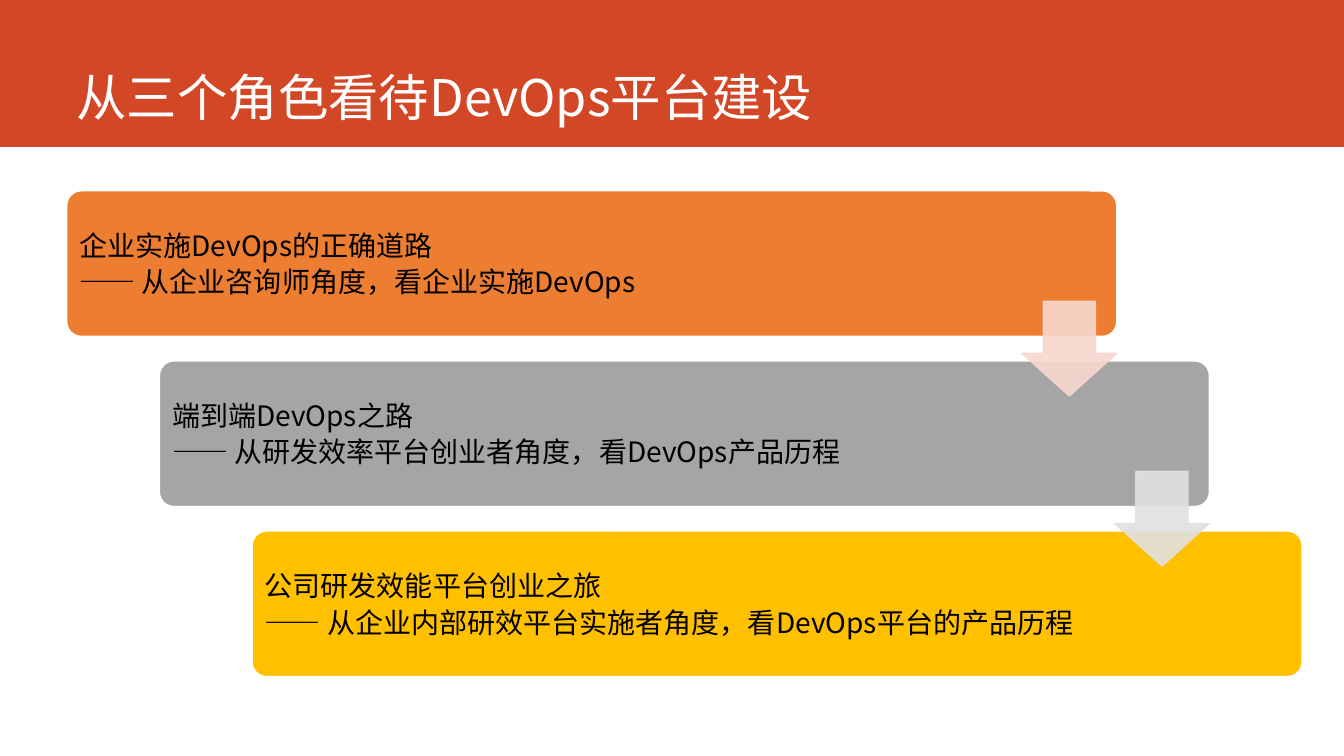
import pptx
import pptx.dml.color
import pptx.enum.shapes
import pptx.enum.text
import pptx.util
import lxml.etree
from pptx.oxml.ns import qn

Pt = pptx.util.Pt
RGBColor = pptx.dml.color.RGBColor
Shapes = pptx.enum.shapes.MSO_SHAPE
Anchor = pptx.enum.text.MSO_ANCHOR
Align = pptx.enum.text.PP_ALIGN

FONT = "Noto Sans CJK SC"
WHITE = RGBColor(0xFF, 0xFF, 0xFF)
BLACK = RGBColor(0x00, 0x00, 0x00)
RED = RGBColor(0xD2, 0x47, 0x26)
ORANGE = RGBColor(0xED, 0x7D, 0x31)
GRAY = RGBColor(0xA5, 0xA5, 0xA5)
GOLD = RGBColor(0xFF, 0xC0, 0x00)
PALE_RED = RGBColor(0xF8, 0xD7, 0xCE)
PALE_GRAY = RGBColor(0xE1, 0xE1, 0xE1)

ROLES = [
    (ORANGE, "企业实施DevOps的正确道路", "—— 从企业咨询师角度，看企业实施DevOps"),
    (GRAY, "端到端DevOps之路", "—— 从研发效率平台创业者角度，看DevOps产品历程"),
    (GOLD, "公司研发效能平台创业之旅", "—— 从企业内部研效平台实施者角度，看DevOps平台的产品历程"),
]
ARROW_COLORS = [PALE_RED, PALE_GRAY]


def add_text(paragraph, text, size, color):
    paragraph.alignment = Align.LEFT
    run = paragraph.add_run()
    run.text = text
    run.font.size = Pt(size)
    run.font.name = FONT
    run.font.color.rgb = color
    east_asian = lxml.etree.SubElement(run.font._element, qn("a:ea"))
    east_asian.set("typeface", FONT)


def add_filled_shape(slide, kind, box, color, line_color=None):
    shape = slide.shapes.add_shape(kind, *(Pt(length) for length in box))
    shape.shadow.inherit = False
    shape.fill.solid()
    shape.fill.fore_color.rgb = color
    if line_color is None:
        shape.line.fill.background()
    else:
        shape.line.color.rgb = line_color
        shape.line.width = Pt(1)
    return shape


def add_header(slide, left, top, width, height):
    banner = add_filled_shape(slide, Shapes.RECTANGLE, (left, top, width, height), RED)
    title = slide.shapes.title
    title.element.addprevious(banner.element)
    title.left, title.top = Pt(left + 47.5), Pt(top)
    title.width, title.height = Pt(846.7), Pt(height - 10)
    frame = title.text_frame
    frame.vertical_anchor = Anchor.BOTTOM
    frame.word_wrap = True
    paragraph = frame.paragraphs[0]
    paragraph.line_spacing = 0.9
    add_text(paragraph, "从三个角色看待DevOps平台建设", 36, WHITE)


def add_role(slide, box, color, lines):
    card = add_filled_shape(slide, Shapes.ROUNDED_RECTANGLE, box, color, WHITE)
    card.adjustments[0] = 0.1
    frame = card.text_frame
    frame.word_wrap = True
    frame.vertical_anchor = Anchor.MIDDLE
    frame.margin_left = frame.margin_right = Pt(6)
    frame.margin_top = frame.margin_bottom = Pt(6)
    for index, line in enumerate(lines):
        paragraph = frame.add_paragraph() if index else frame.paragraphs[0]
        paragraph.space_after = Pt(1.75)
        add_text(paragraph, line, 20, BLACK)


def add_arrow(slide, box, color):
    arrow = add_filled_shape(slide, Shapes.DOWN_ARROW, box, color, color)
    arrow.adjustments[0] = 0.55
    arrow.adjustments[1] = 0.45
    for tint in arrow.element.spPr.iter(qn("a:srgbClr")):
        lxml.etree.SubElement(tint, qn("a:alpha")).set("val", "90000")


def add_staircase(slide, left, top, width, height):
    step_x, step_y = 66.2, 121.5
    card_width = width - step_x * (len(ROLES) - 1)
    card_height = height - step_y * (len(ROLES) - 1)
    arrow_size = 67.7
    for index, (color, *lines) in enumerate(ROLES):
        box = (left + index * step_x, top + index * step_y, card_width, card_height)
        add_role(slide, box, color, lines)
    for index, color in enumerate(ARROW_COLORS):
        arrow_left = left + card_width - arrow_size + index * step_x
        arrow_top = top + 78.9 + index * step_y
        add_arrow(slide, (arrow_left, arrow_top, arrow_size, arrow_size), color)


def main():
    presentation = pptx.Presentation()
    presentation.slide_width = Pt(960)
    presentation.slide_height = Pt(540)
    slide = presentation.slides.add_slide(presentation.slide_layouts[5])
    add_header(slide, 0, 0, 960, 105)
    add_staircase(slide, 47.7, 136.3, 882.4, 347)
    presentation.save("out.pptx")


if __name__ == "__main__":
    main()
